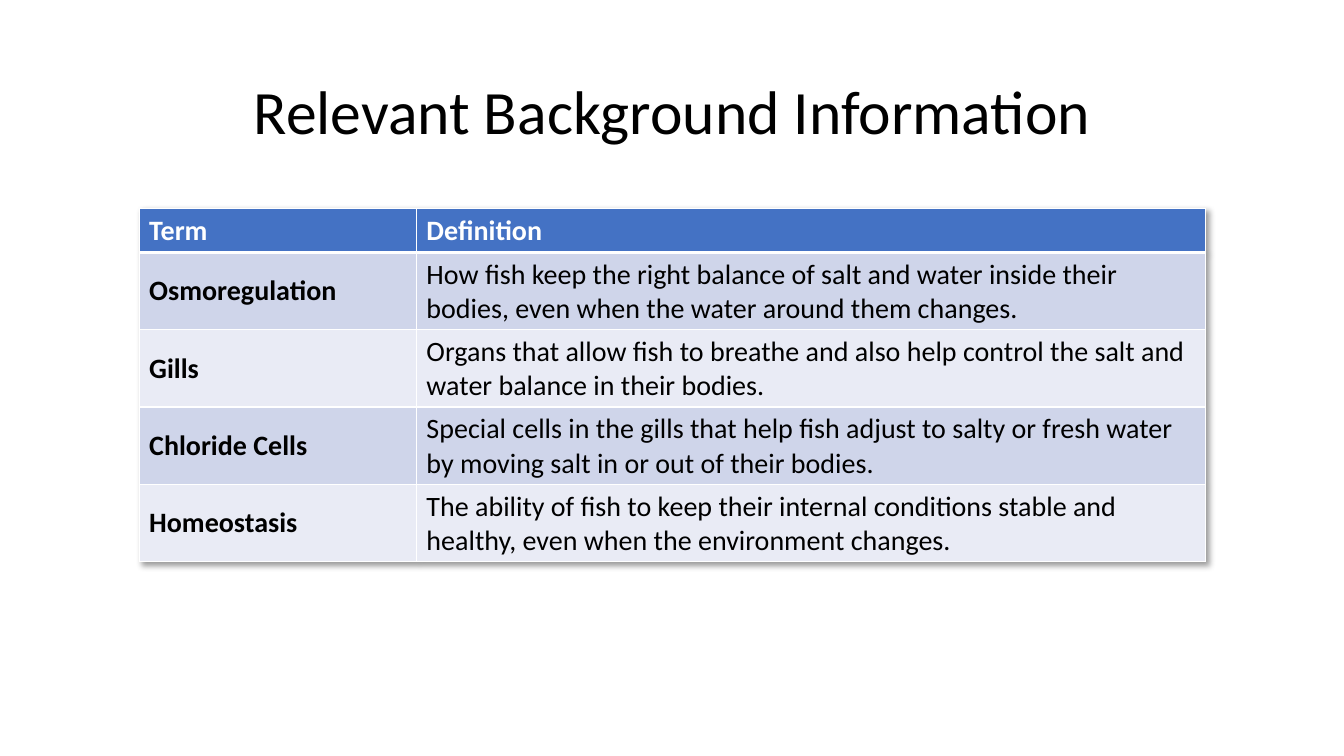
from dataclasses import dataclass

from lxml import etree
from pptx import Presentation
from pptx import util as u
from pptx.dml.color import RGBColor
from pptx.enum import text
from pptx.oxml import ns

PX = 9144


@dataclass(frozen=True)
class Theme:
    font: str = "Calibri"
    title: int = 44
    body: int = 20
    ink: str = "000000"
    white: str = "FFFFFF"
    head: str = "4472C4"
    bands: tuple = ("CFD5EA", "E9EBF5")
    thin: int = 1
    thick: int = 3


THEME = Theme()
TERMS = [
    ("Term", "Definition"),
    ("Osmoregulation", "How fish keep the right balance of salt and water inside their "
     "bodies, even when the water around them changes."),
    ("Gills", "Organs that allow fish to breathe and also help control the salt and "
     "water balance in their bodies."),
    ("Chloride Cells", "Special cells in the gills that help fish adjust to salty or "
     "fresh water by moving salt in or out of their bodies."),
    ("Homeostasis", "The ability of fish to keep their internal conditions stable and "
     "healthy, even when the environment changes."),
]


def px(*sizes):
    return [u.Emu(size * PX) for size in sizes]


def add(parent, tag, **attrs):
    node = etree.SubElement(parent, ns.qn(tag))
    for name, value in attrs.items():
        node.set(name, str(value))
    return node


def write(para, words, size, color, bold=False):
    run = para.add_run()
    run.text = words
    font = run.font
    font.name, font.size, font.bold = THEME.font, u.Pt(size), bold
    font.color.rgb = RGBColor.from_string(color)


def title(slide, box, words):
    frame = slide.shapes.add_textbox(*px(*box)).text_frame
    frame.word_wrap = True
    frame.vertical_anchor = text.MSO_ANCHOR.MIDDLE
    para = frame.paragraphs[0]
    para.alignment = text.PP_ALIGN.CENTER
    para.line_spacing = 0.9
    write(para, words, THEME.title, THEME.ink)


def border(cell, side, width):
    line = add(cell._tc.get_or_add_tcPr(), "a:ln" + side, w=u.Pt(width))
    add(add(line, "a:solidFill"), "a:srgbClr", val=THEME.white)


def shade(table):
    props = table._tbl.tblPr
    effect = add(props, "a:effectLst")
    props.insert(0, effect)
    drop = add(effect, "a:outerShdw", blurRad=50800, dist=38100, dir=2700000,
               algn="tl", rotWithShape=0)
    color = add(drop, "a:prstClr", val="black")
    add(color, "a:alpha", val=40000)


def fill(cell, words, row, col):
    head = row == 0
    for side in "LRTB":
        heavy = (row, side) in ((0, "B"), (1, "T"))
        border(cell, side, THEME.thick if heavy else THEME.thin)
    cell.fill.solid()
    back = THEME.head if head else THEME.bands[(row - 1) % 2]
    cell.fill.fore_color.rgb = RGBColor.from_string(back)
    cell.vertical_anchor = text.MSO_ANCHOR.MIDDLE
    write(cell.text_frame.paragraphs[0], words, THEME.body,
          THEME.white if head else THEME.ink, head or col == 0)


def terms(slide, box, rows, term=275, high=41):
    frame = slide.shapes.add_table(len(rows), 2, *px(*box))
    table = frame.table
    shade(table)
    for col, wide in zip(table.columns, px(term, box[2] - term)):
        col.width = wide
    for r, pair in enumerate(rows):
        table.rows[r].height = px(high)[0]
        for c, words in enumerate(pair):
            fill(table.cell(r, c), words, r, c)
    frame.height = px(box[3])[0]


def main():
    deck = Presentation()
    deck.slide_width, deck.slide_height = px(1333, 750)
    slide = deck.slides.add_slide(deck.slide_layouts[6])
    title(slide, (92, 41, 1150, 145), "Relevant Background Information")
    terms(slide, (138, 207, 1058, 350), TERMS)
    deck.save("out.pptx")


if __name__ == "__main__":
    main()
